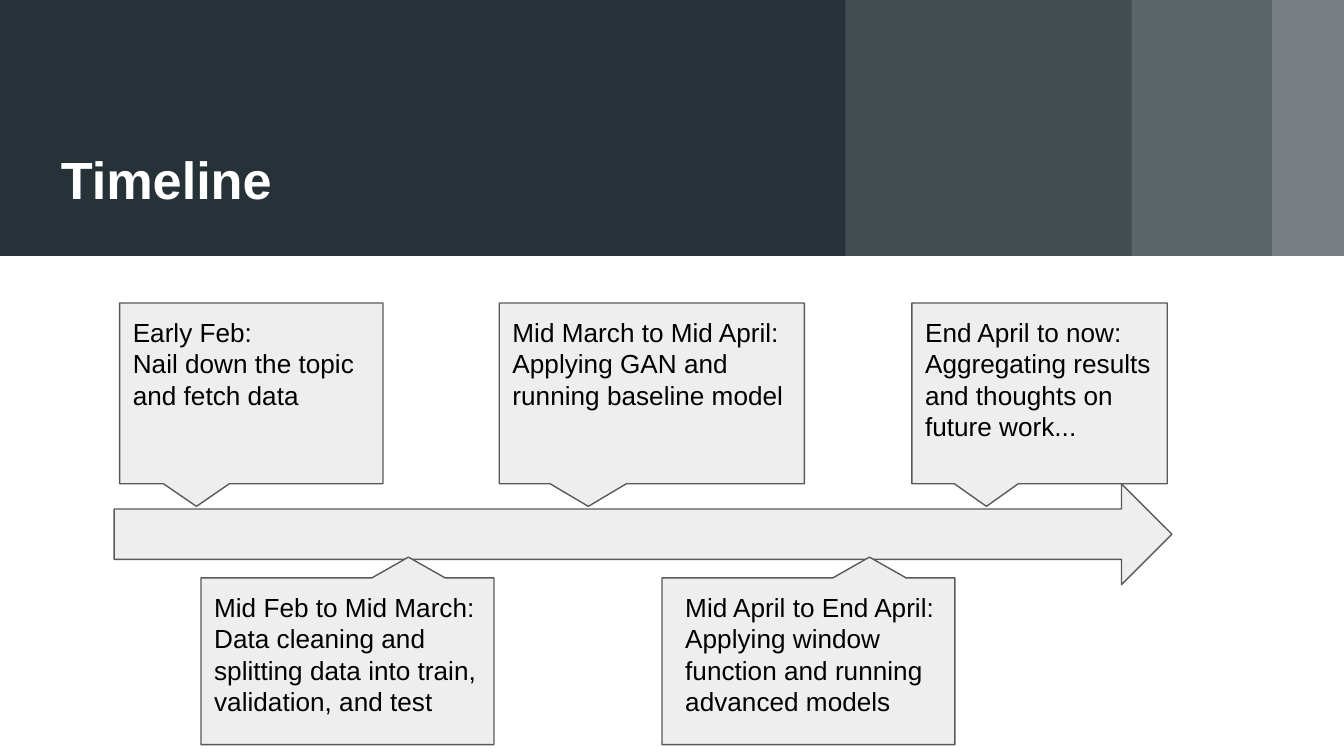
import dataclasses

import lxml.etree
import pptx
import pptx.dml.color
import pptx.enum.shapes
import pptx.enum.text
import pptx.oxml.ns
import pptx.util

SHAPES = pptx.enum.shapes.MSO_SHAPE
ANCHORS = pptx.enum.text.MSO_ANCHOR
SLIDE_WIDTH = pptx.util.Inches(10)
SLIDE_HEIGHT = SLIDE_WIDTH * 9 // 16
COLUMNS = 100
CELL = SLIDE_WIDTH // COLUMNS  # side of one square grid cell


@dataclasses.dataclass(frozen=True)
class Theme:
    font: str = "Arial"
    title_size: int = 28
    body_size: int = 14
    header: str = "263238"
    light: str = "FFFFFF"
    panel: str = "EEEEEE"
    outline: str = "595959"
    ink: str = "000000"
    outline_width: float = 0.75


THEME = Theme()


@dataclasses.dataclass(frozen=True)
class Box:
    """A region measured in grid columns and rows."""
    left: float
    top: float
    width: float
    height: float

    def lengths(self):
        return [round(cells * CELL)
                for cells in (self.left, self.top, self.width, self.height)]


def rgb(color):
    return pptx.dml.color.RGBColor.from_string(color)


def add_filled(slide, kind, box, color, outlined=False):
    shape = slide.shapes.add_shape(kind, *box.lengths())
    shape.shadow.inherit = False
    shape.fill.solid()
    shape.fill.fore_color.rgb = rgb(color)
    if outlined:
        shape.line.color.rgb = rgb(THEME.outline)
        shape.line.width = pptx.util.Pt(THEME.outline_width)
    else:
        shape.line.fill.background()
    return shape


def set_opacity(shape, percent):
    color = shape.fill._xPr.find(".//" + pptx.oxml.ns.qn("a:srgbClr"))
    alpha = lxml.etree.SubElement(color, pptx.oxml.ns.qn("a:alpha"))
    alpha.set("val", str(percent * 1000))


def write(shape, lines, size, color, bold=False, anchor=ANCHORS.TOP):
    frame = shape.text_frame
    frame.word_wrap = True
    frame.vertical_anchor = anchor
    frame.margin_left = frame.margin_right = CELL
    frame.margin_top = frame.margin_bottom = CELL
    frame.text = "\n".join(lines)
    for paragraph in frame.paragraphs:
        paragraph.alignment = pptx.enum.text.PP_ALIGN.LEFT
        paragraph.font.name = THEME.font
        paragraph.font.size = pptx.util.Pt(size)
        paragraph.font.bold = bold
        paragraph.font.color.rgb = rgb(color)


def add_header(slide, box, title):
    add_filled(slide, SHAPES.RECTANGLE, box, THEME.header)
    right = box.left + box.width
    for width, opacity in ((5.35, 38), (10.45, 25), (21.3, 13)):
        right -= width
        band = add_filled(slide, SHAPES.RECTANGLE,
                          Box(right, box.top, width, box.height), THEME.light)
        set_opacity(band, opacity)
    title_box = Box(box.left + 3.55, box.top + 1.6, 57.4, box.height - 4.05)
    write(slide.shapes.add_textbox(*title_box.lengths()), [title],
          THEME.title_size, THEME.light, bold=True, anchor=ANCHORS.BOTTOM)


def add_callout(slide, box):
    callout = add_filled(slide, SHAPES.RECTANGULAR_CALLOUT, box, THEME.panel, outlined=True)
    callout.adjustments[0] = -0.208
    callout.adjustments[1] = 0.625
    return callout


def add_upper_milestone(slide, box, lines):
    write(add_callout(slide, box), lines, THEME.body_size, THEME.ink)


def add_lower_milestone(slide, box, lines, indent):
    """Turn the callout to point up; its text sits upright in a separate box."""
    add_callout(slide, box).rotation = 180
    label_box = dataclasses.replace(box, left=box.left + indent)
    write(slide.shapes.add_textbox(*label_box.lengths()), lines,
          THEME.body_size, THEME.ink)


def add_timeline(slide, box):
    arrow = Box(box.left, box.top + 13.45, box.width, 7.5)
    add_filled(slide, SHAPES.RIGHT_ARROW, arrow, THEME.panel, outlined=True)

    upper = (
        (0.4, 19.6, ["Early Feb:", "Nail down the topic and fetch data"]),
        (28.65, 22.7, ["Mid March to Mid April: Applying GAN and running baseline model"]),
        (59.35, 19, ["End April to now: Aggregating results and thoughts on future work..."]),
    )
    for column, width, lines in upper:
        add_upper_milestone(slide, Box(box.left + column, box.top, width, 13.45), lines)

    lower = (
        (6.45, 0, ["Mid Feb to Mid March:",
                   "Data cleaning and splitting data into train, validation, and test"]),
        (40.75, 0.75, ["Mid April to End April:",
                       "Applying window function and running advanced models"]),
    )
    for column, indent, lines in lower:
        milestone = Box(box.left + column, box.top + box.height - 12.4, 21.8, 12.4)
        add_lower_milestone(slide, milestone, lines, indent)


def main():
    deck = pptx.Presentation()
    deck.slide_width = SLIDE_WIDTH
    deck.slide_height = SLIDE_HEIGHT
    slide = deck.slides.add_slide(deck.slide_layouts[6])
    add_header(slide, Box(0, 0, COLUMNS, 19.05), "Timeline")
    add_timeline(slide, Box(8.5, 22.55, 78.7, 32.85))
    deck.save("out.pptx")


if __name__ == "__main__":
    main()
